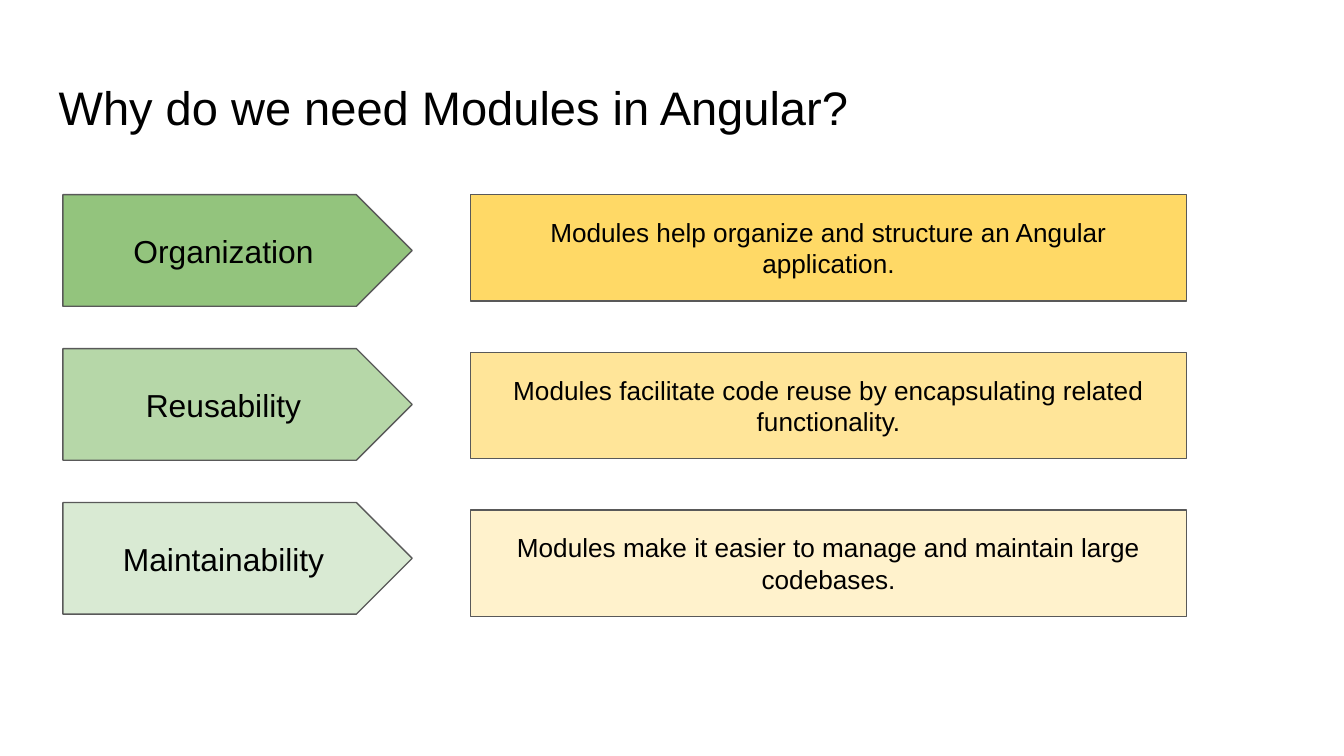
from pptx import Presentation
from pptx.dml.color import RGBColor
from pptx.enum.shapes import MSO_SHAPE as SHAPE
from pptx.enum.text import MSO_ANCHOR as ANCHOR, PP_ALIGN as ALIGN
from pptx.util import Cm, Pt

BLACK = RGBColor(0x00, 0x00, 0x00)
GRAY = RGBColor(0x59, 0x59, 0x59)
GREENS = (RGBColor(0x93, 0xC4, 0x7D), RGBColor(0xB6, 0xD7, 0xA8), RGBColor(0xD9, 0xEA, 0xD3))
YELLOWS = (RGBColor(0xFF, 0xD9, 0x66), RGBColor(0xFF, 0xE5, 0x99), RGBColor(0xFF, 0xF2, 0xCC))

REASONS = (
    ("Organization", "Modules help organize and structure an Angular application."),
    ("Reusability", "Modules facilitate code reuse by encapsulating related functionality."),
    ("Maintainability", "Modules make it easier to manage and maintain large codebases."),
)
TOP = 3.68
ARROW_STEP = 2.91
BOX_STEP = 2.98


class Deck:
    font = "Arial"
    inset = Cm(0.25)

    def __init__(self, slide):
        self.s = slide

    def set_text(self, sp, text, size, align, anchor):
        tf = sp.text_frame
        tf.word_wrap = True
        tf.vertical_anchor = anchor
        tf.margin_left = tf.margin_right = self.inset
        tf.margin_top = tf.margin_bottom = self.inset
        p = tf.paragraphs[0]
        p.text = text
        p.alignment = align
        p.font.name = self.font
        p.font.size = Pt(size)
        p.font.color.rgb = BLACK

    def title(self, text):
        sp = self.s.shapes.add_textbox(Cm(0.86), Cm(1.24), Cm(23.67), Cm(1.6))
        self.set_text(sp, text, 25.2, ALIGN.LEFT, ANCHOR.TOP)

    def shape(self, kind, x, y, w, h, fill, text, size):
        sp = self.s.shapes.add_shape(kind, Cm(x), Cm(y), Cm(w), Cm(h))
        sp.shadow.inherit = False
        sp.fill.solid()
        sp.fill.fore_color.rgb = fill
        sp.line.color.rgb = GRAY
        sp.line.width = Pt(0.75)
        self.set_text(sp, text, size, ALIGN.CENTER, ANCHOR.MIDDLE)

    def arrow(self, y, fill, text):
        self.shape(SHAPE.PENTAGON, 1.19, y, 6.6, 2.11, fill, text, 17)

    def box(self, y, fill, text):
        self.shape(SHAPE.RECTANGLE, 8.89, y, 13.54, 2.01, fill, text, 14)


def main():
    prs = Presentation()
    prs.slide_width, prs.slide_height = Cm(25.4), Cm(14.29)
    deck = Deck(prs.slides.add_slide(prs.slide_layouts[6]))
    deck.title("Why do we need Modules in Angular?")
    for i, (name, reason) in enumerate(REASONS):
        deck.arrow(TOP + i * ARROW_STEP, GREENS[i], name)
        deck.box(TOP + i * BOX_STEP, YELLOWS[i], reason)
    prs.save("out.pptx")


if __name__ == "__main__":
    main()
